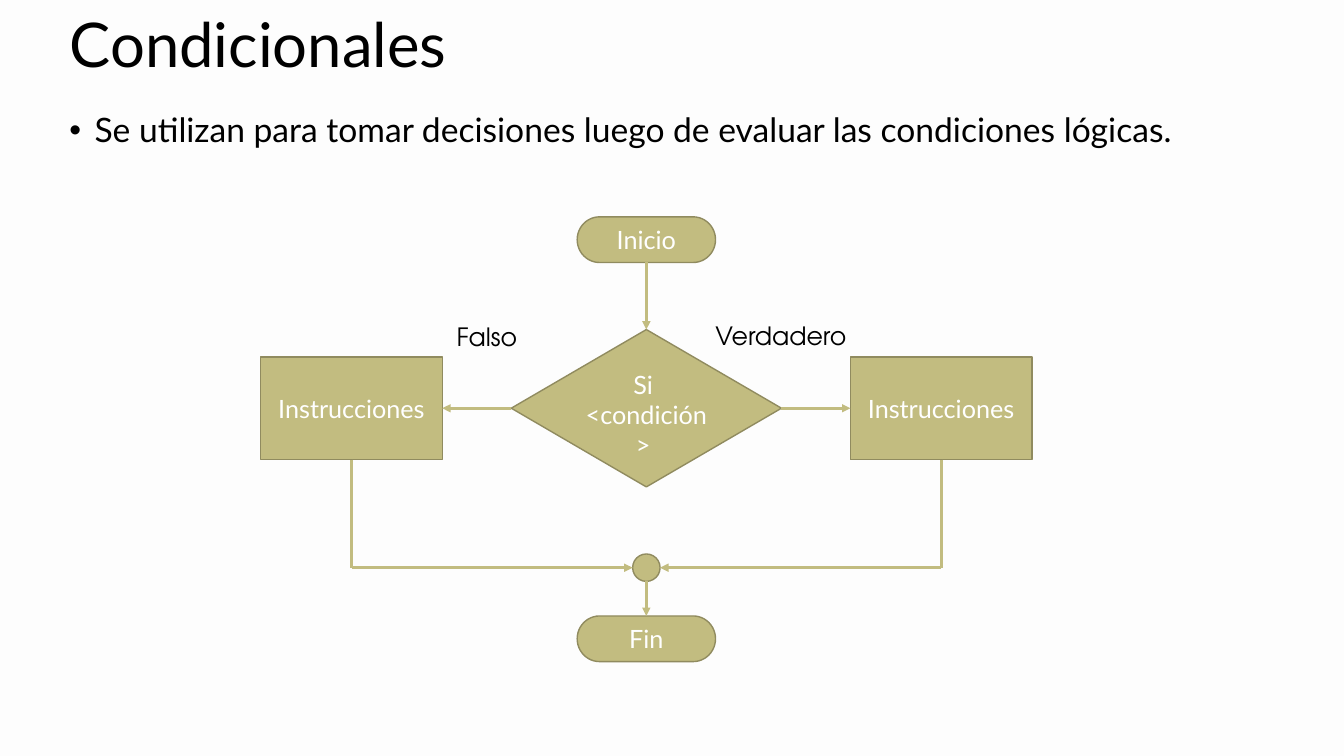
from lxml import etree
from pptx import Presentation
from pptx.dml.color import RGBColor
from pptx.enum.shapes import MSO_CONNECTOR, MSO_SHAPE
from pptx.enum.text import MSO_ANCHOR, MSO_AUTO_SIZE, PP_ALIGN
from pptx.oxml.ns import qn
from pptx.util import Pt

TERMINATOR = MSO_SHAPE.FLOWCHART_TERMINATOR
DECISION = MSO_SHAPE.FLOWCHART_DECISION
PROCESS = MSO_SHAPE.FLOWCHART_PROCESS
JUNCTION = MSO_SHAPE.FLOWCHART_CONNECTOR
STRAIGHT = MSO_CONNECTOR.STRAIGHT
TOP, MIDDLE = MSO_ANCHOR.TOP, MSO_ANCHOR.MIDDLE
LEFT, CENTER, JUSTIFY = PP_ALIGN.LEFT, PP_ALIGN.CENTER, PP_ALIGN.JUSTIFY
NO_FIT, GROW = MSO_AUTO_SIZE.NONE, MSO_AUTO_SIZE.SHAPE_TO_FIT_TEXT

BACKGROUND = RGBColor(0xFD, 0xFD, 0xFD)
BLACK = RGBColor(0, 0, 0)
WHITE = RGBColor(0xFF, 0xFF, 0xFF)
OLIVE = RGBColor(0xC2, 0xBC, 0x80)
OUTLINE = RGBColor(0x90, 0x8B, 0x5F)

TEXT_FONT = "Lato"
LABEL_FONT = "TeX Gyre Adventor"
BULLET_INDENT = 18


def write_text(frame, text, size=18, font=TEXT_FONT, color=BLACK, align=LEFT,
               anchor=TOP, fit=NO_FIT, spacing=1.0, bullet=None):
    """Fill a text frame, one paragraph for each line of text."""
    frame.word_wrap = True
    frame.auto_size = fit
    frame.vertical_anchor = anchor
    for index, line in enumerate(text.split("\n")):
        paragraph = frame.add_paragraph() if index else frame.paragraphs[0]
        paragraph.text = line
        paragraph.alignment = align
        paragraph.line_spacing = spacing
        paragraph.space_before = Pt(0)
        if bullet:
            properties = paragraph._p.get_or_add_pPr()
            properties.set("marL", str(Pt(BULLET_INDENT)))
            properties.set("indent", str(-Pt(BULLET_INDENT)))
            etree.SubElement(properties, qn("a:buFont")).set("typeface", "Arial")
            etree.SubElement(properties, qn("a:buChar")).set("char", bullet)
        for run in paragraph.runs:
            run.font.name = font
            run.font.size = Pt(size)
            run.font.color.rgb = color


class FlowSlide:
    """Holds the slide and the style of the flow chart."""

    def __init__(self, presentation):
        self.slide = presentation.slides.add_slide(presentation.slide_layouts[5])
        self.shapes = self.slide.shapes
        background = self.slide.background.fill
        background.solid()
        background.fore_color.rgb = BACKGROUND

    def title(self, text, left, top, width, height):
        title = self.shapes.title
        title.left, title.top = Pt(left), Pt(top)
        title.width, title.height = Pt(width), Pt(height)
        write_text(title.text_frame, text, size=44, anchor=MIDDLE, spacing=0.9)

    def text_box(self, text, left, top, width, height, **text_format):
        box = self.shapes.add_textbox(Pt(left), Pt(top), Pt(width), Pt(height))
        write_text(box.text_frame, text, **text_format)

    def node(self, kind, center_x, center_y, width, height, text="",
             anchor=MIDDLE, inset=None):
        shape = self.shapes.add_shape(
            kind, Pt(center_x - width / 2), Pt(center_y - height / 2),
            Pt(width), Pt(height))
        shape.shadow.inherit = False
        shape.fill.solid()
        shape.fill.fore_color.rgb = OLIVE
        shape.line.color.rgb = OUTLINE
        shape.line.width = Pt(1)
        frame = shape.text_frame
        if inset is not None:
            frame.margin_left = frame.margin_right = Pt(inset)
            frame.margin_top = frame.margin_bottom = Pt(inset)
        if text:
            write_text(frame, text, color=WHITE, align=CENTER, anchor=anchor)

    def line(self, start, end, arrow=True):
        connector = self.shapes.add_connector(
            STRAIGHT, *(Pt(value) for value in (*start, *end)))
        connector.line.color.rgb = OLIVE
        connector.line.width = Pt(2)
        if arrow:
            outline = connector.line._get_or_add_ln()
            etree.SubElement(outline, qn("a:tailEnd")).set("type", "triangle")
        etree.SubElement(connector._element.spPr, qn("a:effectLst"))


def main():
    presentation = Presentation()
    presentation.slide_width, presentation.slide_height = Pt(960), Pt(540)
    flow = FlowSlide(presentation)

    # Title and statement
    flow.title("Condicionales", 42.5, 3.6, 874.8, 60.5)
    flow.text_box(
        "Se utilizan para tomar decisiones luego de evaluar las condiciones lógicas.",
        42.5, 77.8, 874.8, 419.8, size=24, align=JUSTIFY, spacing=0.9, bullet="•")

    # Flow chart measures
    center_x, branch_offset = 461.7, 210.6
    start_y, decision_y, junction_y, end_y = 171.2, 291.6, 405.5, 456.3
    terminator_width, terminator_height = 98.8, 32.6
    decision_width, decision_height = 193, 112.4
    process_width, process_height = 129.6, 73.4
    junction_size = 19.6

    # Main column
    flow.node(TERMINATOR, center_x, start_y, terminator_width,
              terminator_height, "Inicio")
    flow.node(TERMINATOR, center_x, end_y, terminator_width,
              terminator_height, "Fin")
    flow.node(DECISION, center_x, decision_y, decision_width, decision_height,
              "Si \n<condición> ", anchor=TOP, inset=0)
    flow.node(JUNCTION, center_x, junction_y, junction_size, junction_size)
    flow.line((center_x, start_y + terminator_height / 2),
              (center_x, decision_y - decision_height / 2))
    flow.line((center_x, junction_y + junction_size / 2),
              (center_x, end_y - terminator_height / 2))

    # Branches, false to the left and true to the right
    for side in (-1, 1):
        branch_x = center_x + side * branch_offset
        flow.node(PROCESS, branch_x, decision_y, process_width, process_height,
                  "Instrucciones")
        flow.line((center_x + side * decision_width / 2, decision_y),
                  (branch_x - side * process_width / 2, decision_y))
        flow.line((branch_x, decision_y + process_height / 2),
                  (branch_x, junction_y), arrow=False)
        flow.line((branch_x, junction_y),
                  (center_x + side * junction_size / 2, junction_y))

    # Branch labels
    for label, left, top, width in (("Falso", 319, 226, 73.4),
                                    ("Verdadero", 504, 225.4, 108)):
        flow.text_box(label, left, top, width, 28.8, font=LABEL_FONT, fit=GROW)

    presentation.save("out.pptx")


if __name__ == "__main__":
    main()
